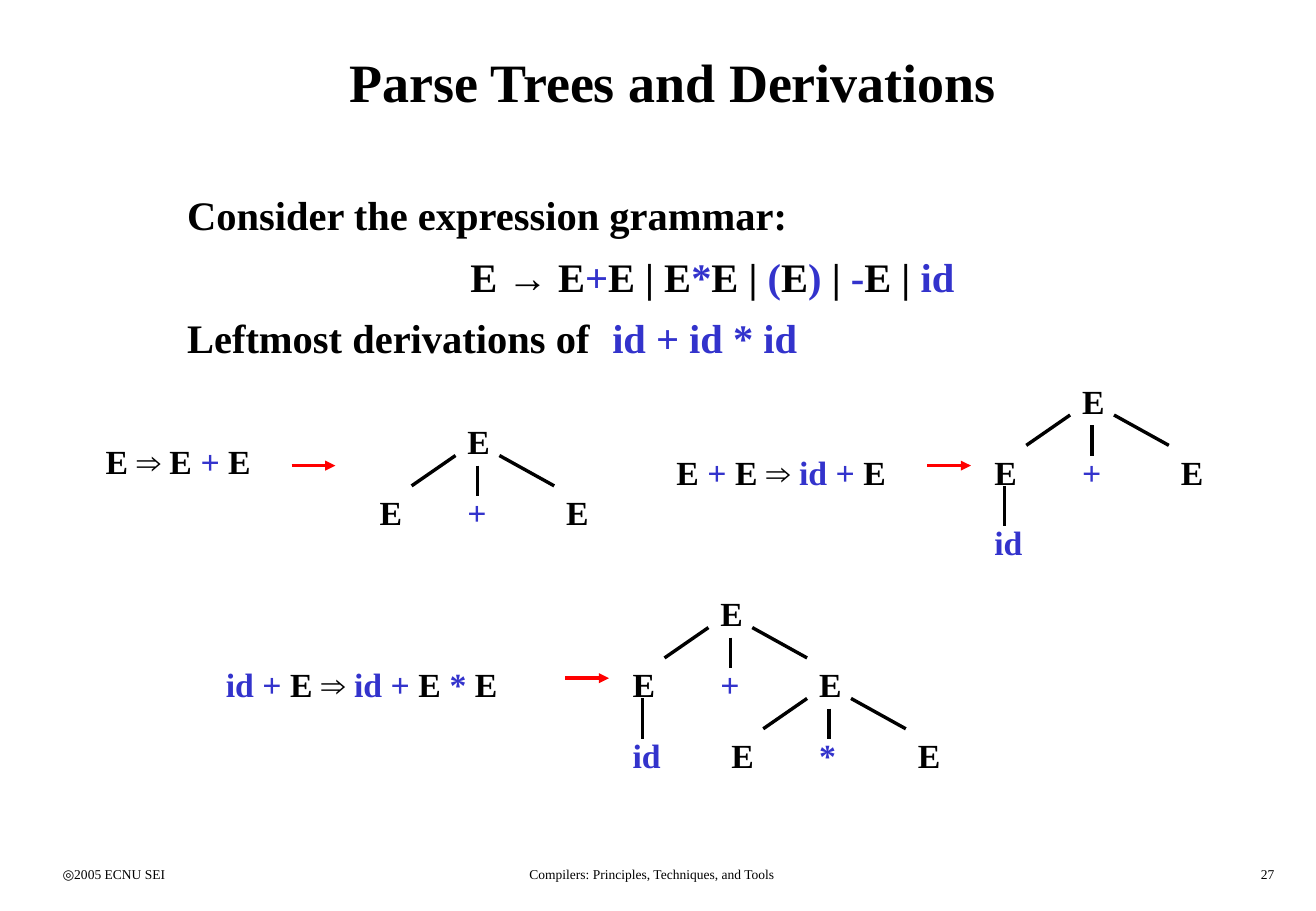
from pptx import Presentation
from pptx.dml.color import RGBColor
from pptx.enum.shapes import MSO_CONNECTOR as Conn
from pptx.enum.text import MSO_ANCHOR as Anchor, MSO_AUTO_SIZE as Auto, PP_ALIGN as Align
from pptx.oxml.ns import qn
from pptx.util import Pt
from lxml.etree import SubElement

BLACK, BLUE, RED = "000000", "3333CC", "FF0000"


def rgb(hex_color):
    """Turn a hex string into a colour."""
    return RGBColor.from_string(hex_color)


def set_all(obj, values):
    """Set every attribute named in a dict."""
    for name, value in values.items():
        setattr(obj, name, value)


def write(p, text, size, bold=True):
    """Fill a paragraph; the parts between ~ marks are blue terminals."""
    for i, part in enumerate(text.split("~")):
        if part:
            r = p.add_run()
            r.text = part
            set_all(r.font, {"name": "Times New Roman", "size": Pt(size), "bold": bold})
            r.font.color.rgb = rgb(BLUE if i % 2 else BLACK)


def place(sp, x, y, w, h):
    """Move a shape to a box given in points."""
    set_all(sp, {"left": Pt(x), "top": Pt(y), "width": Pt(w), "height": Pt(h)})


def add_text(s, x, y, w, h, text, size=20, bold=True, align=Align.LEFT):
    """Add a text box of one paragraph."""
    tf = s.shapes.add_textbox(Pt(x), Pt(y), Pt(w), Pt(h)).text_frame
    tf.word_wrap = True
    p = tf.paragraphs[0]
    p.alignment = align
    write(p, text, size, bold)


def add_line(s, x1, y1, x2, y2, color=BLACK, arrow=False):
    """Add a straight line, with an arrowhead at its end if asked."""
    c = s.shapes.add_connector(Conn.STRAIGHT, Pt(x1), Pt(y1), Pt(x2), Pt(y2))
    c.line.width = Pt(2)
    c.line.color.rgb = rgb(color)
    sp_pr = c._element.spPr
    if arrow:
        SubElement(sp_pr.find(qn("a:ln")), qn("a:tailEnd"), type="triangle")
    SubElement(sp_pr, qn("a:effectLst"))


def add_title(s, x, y, w, h):
    """Place and fill the title."""
    sp = s.shapes.title
    place(sp, x, y, w, h)
    tf = sp.text_frame
    set_all(tf, {"vertical_anchor": Anchor.MIDDLE, "auto_size": Auto.NONE})
    tf.paragraphs[0].alignment = Align.CENTER
    write(tf.paragraphs[0], "Parse Trees and Derivations", 32)


def add_grammar(s, x, y, w, h):
    """Place the body and fill it with the grammar and the sentence."""
    sp = s.placeholders[1]
    place(sp, x, y, w, h)
    tf = sp.text_frame
    set_all(tf, {"vertical_anchor": Anchor.MIDDLE, "auto_size": Auto.NONE})
    rows = [
        ("Consider the expression grammar:", Align.LEFT, 1.0, 0),
        ("E → E~+~E | E~*~E | ~(~E~)~ | ~-~E | ~id", Align.CENTER, 0.8, 13.5),
        ("Leftmost derivations of\t~id + id * id", Align.LEFT, 0.8, 13.5),
    ]
    for i, (text, align, spacing, before) in enumerate(rows):
        p = tf.add_paragraph() if i else tf.paragraphs[0]
        p_pr = p._p.get_or_add_pPr()
        p_pr.set("marL", "0")
        p_pr.set("indent", "0")
        SubElement(p_pr, qn("a:buNone"))
        if "\t" in text:
            tabs = SubElement(p_pr, qn("a:tabLst"))
            SubElement(tabs, qn("a:tab"), pos=str(int(Pt(269))), algn="l")
        set_all(p, {"alignment": align, "line_spacing": spacing, "space_before": Pt(before)})
        write(p, text, 24)


def add_tree(s, x, y, operator, left_id=False, right_operator=None):
    """Draw a parse tree whose root label has its corner at x, y."""
    for dx, dy, label in [(0, 0, "E"), (-52, 42, "E"), (0, 42, f"~{operator}"), (58.5, 42, "E")]:
        if (dx, dy) != (0, 0) or label != "E" or not y < 0:
            add_text(s, x + dx, y + dy, 45, 31, label)
    add_branches(s, x, y)
    if left_id:
        add_line(s, x - 39, y + 66, x - 39, y + 90)
        add_text(s, x - 52, y + 84, 39, 31, "~id")
    if right_operator:
        add_branches(s, x + 58.5, y + 42)
        for dx, label in [(6.5, "E"), (58.5, f"~{right_operator}"), (117, "E")]:
            add_text(s, x + dx, y + 84, 45, 31, label)


def add_branches(s, x, y):
    """Draw the three branches below the label at x, y."""
    for x1, y1, x2, y2 in [(-26, 42, 0, 24), (13, 30, 13, 48), (26, 24, 58.5, 42)]:
        add_line(s, x + x1, y + y1, x + x2, y + y2)


def add_step(s, x, y, w, text, arrow, root, **tree):
    """Place a derivation step, its arrow and its parse tree."""
    add_text(s, x, y, w, 31, text)
    ax, ay = arrow
    add_line(s, ax, ay, ax + 26, ay, RED, True)
    add_tree(s, *root, **tree)


def add_footer(s, x, y, w, h):
    """Place the three footer texts across a strip."""
    for dx, part, text, align in [
        (0, 163, "◎2005 ECNU SEI", Align.LEFT),
        (210.5, 292, "Compilers: Principles, Techniques, and Tools", Align.CENTER),
        (w - 163, 163, "27", Align.RIGHT),
    ]:
        add_text(s, x + dx, y, part, h, text, 8, False, align)


def main():
    """Build the slide and save it."""
    prs = Presentation()
    set_all(prs, {"slide_width": Pt(780), "slide_height": Pt(540)})
    s = prs.slides.add_slide(prs.slide_layouts[1])
    add_title(s, 30, 12, 738, 72)
    add_grammar(s, 103.7, 108, 637, 111)
    add_step(s, 55.5, 258, 124, "E ⇒ E ~+~ E", (172.8, 276), (270, 246), operator="+")
    add_step(s, 393.8, 264, 156, "E ~+ ~E ⇒ ~id +~ E", (549.5, 276), (634.3, 222),
             operator="+", left_id=True)
    add_step(s, 126.8, 390, 208, "~id + ~E ⇒ ~id +~ E ~* ~E", (335, 402), (419.9, 348),
             operator="+", left_id=True, right_operator="*")
    add_footer(s, 30, 510, 732.5, 18)
    prs.save("out.pptx")


if __name__ == "__main__":
    main()
